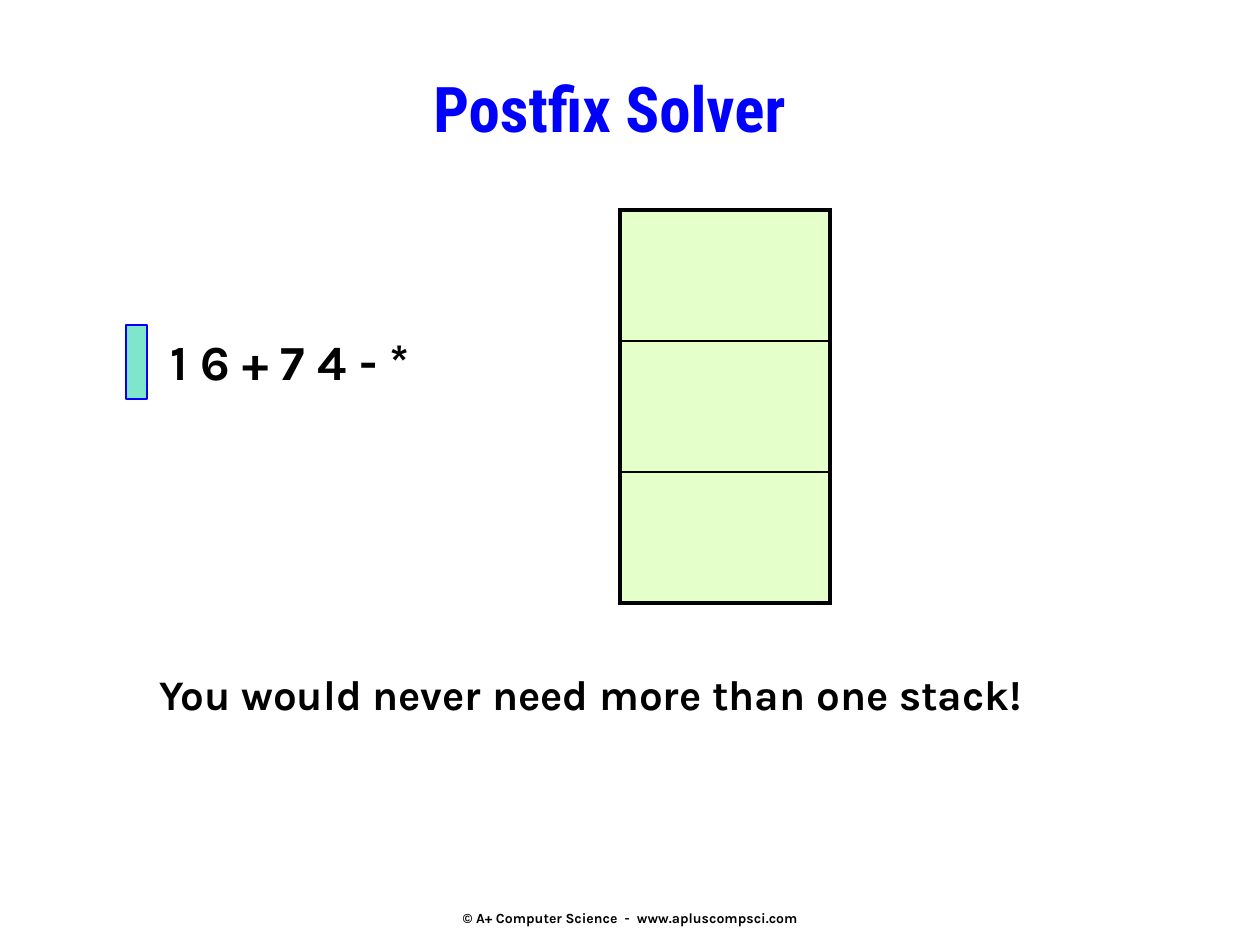
import pptx
import pptx.dml.color
import pptx.enum.shapes
import pptx.enum.text
import pptx.oxml
import pptx.oxml.ns
import pptx.util

PX = 914400 / 126
COLORS = {
    "title": "0000FF",
    "text": "000000",
    "marker": "00CC99",
    "marker_line": "0000FF",
    "stack": "CCFF99",
    "border": "000000",
}
BODY_FONT = "Karla"
TITLE_FONT = "Roboto Condensed"
ALIGN = pptx.enum.text.PP_ALIGN
ANCHOR = pptx.enum.text.MSO_ANCHOR


def px(length):
    return pptx.util.Emu(round(length * PX))


def rgb(name):
    return pptx.dml.color.RGBColor.from_string(COLORS[name])


def place(shape, box):
    shape.left, shape.top, shape.width, shape.height = map(px, box)


def half_transparent_fill(fill, color, properties):
    """Fill with a colour at 50% opacity; properties is the element holding the fill."""
    fill.solid()
    fill.fore_color.rgb = rgb(color)
    color_element = properties.find(".//" + pptx.oxml.ns.qn("a:srgbClr"))
    color_element.append(pptx.oxml.parse_xml(
        f'<a:alpha {pptx.oxml.ns.nsdecls("a")} val="50000"/>'))


def write(shape, text, size, color="text", font=BODY_FONT, align=ALIGN.LEFT,
          anchor=ANCHOR.TOP, wrap=False):
    frame = shape.text_frame
    frame.auto_size = pptx.enum.text.MSO_AUTO_SIZE.NONE
    frame.word_wrap = wrap
    frame.vertical_anchor = anchor
    paragraph = frame.paragraphs[0]
    paragraph.alignment = align
    run = paragraph.add_run()
    run.text = text
    run.font.name = font
    run.font.size = pptx.util.Pt(size)
    run.font.bold = True
    run.font.color.rgb = rgb(color)


def add_text(slide, box, text, size, **options):
    write(slide.shapes.add_textbox(*map(px, box)), text, size, **options)


def add_title(slide, box):
    title = slide.shapes.title
    place(title, box)
    write(title, "Postfix Solver", 36, color="title", font=TITLE_FONT, align=ALIGN.CENTER)


def add_expression(slide, box):
    """Postfix expression with the reading marker at its left."""
    left, top, width, height = box
    marker_width, gap = 21, 11
    text_offset = marker_width + gap
    add_text(slide, (left + text_offset, top, width - text_offset, height),
             "1 6 + 7 4 - *", 28)
    marker = slide.shapes.add_shape(
        pptx.enum.shapes.MSO_SHAPE.RECTANGLE, *map(px, (left, top, marker_width, height)))
    marker.shadow.inherit = False
    half_transparent_fill(marker.fill, "marker", marker.element.spPr)
    marker.line.color.rgb = rgb("marker_line")
    marker.line.width = pptx.util.Pt(0.75)


def add_border(cell_properties, side, width):
    cell_properties.append(pptx.oxml.parse_xml(
        f'<a:ln{side} {pptx.oxml.ns.nsdecls("a")} w="{pptx.util.Pt(width)}">'
        f'<a:solidFill><a:srgbClr val="{COLORS["border"]}"/></a:solidFill></a:ln{side}>'))


def add_stack(slide, box, rows=3):
    outer, inner = 2.25, 1
    table = slide.shapes.add_table(rows, 1, *map(px, box)).table
    table.first_row = False
    table.horz_banding = False
    for index in range(rows):
        table.rows[index].height = px(box[3] // rows)
        cell = table.cell(index, 0)
        properties = cell._tc.get_or_add_tcPr()
        widths = {
            "L": outer,
            "R": outer,
            "T": outer if index == 0 else inner,
            "B": outer if index == rows - 1 else inner,
        }
        for side, width in widths.items():
            add_border(properties, side, width)
        # The borders hold colours too, so the fill is looked up on its own.
        cell.fill.solid()
        half_transparent_fill(cell.fill, "stack",
                              properties.find(pptx.oxml.ns.qn("a:solidFill")))


def main():
    presentation = pptx.Presentation()
    presentation.slide_width = px(1260)
    presentation.slide_height = px(945)
    slide = presentation.slides.add_slide(presentation.slide_layouts[5])
    add_title(slide, (158, 63, 903, 105))
    add_expression(slide, (126, 325, 362, 74))
    add_stack(slide, (620, 210, 210, 393))
    add_text(slide, (147, 662, 955, 63), "You would never need more than one stack!", 24,
             wrap=True)
    add_text(slide, (431, 900, 399, 36), "© A+ Computer Science  -  www.apluscompsci.com", 8,
             align=ALIGN.CENTER, anchor=ANCHOR.MIDDLE)
    presentation.save("out.pptx")


if __name__ == "__main__":
    main()
